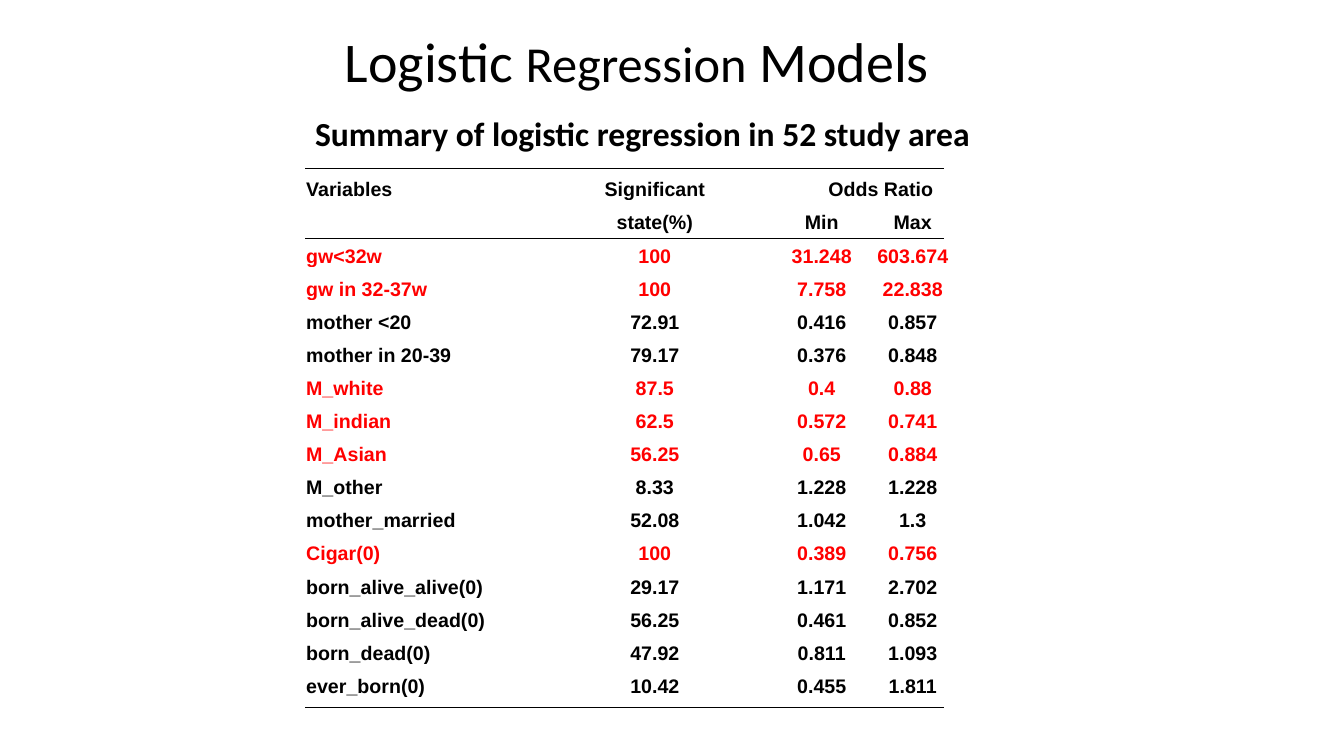
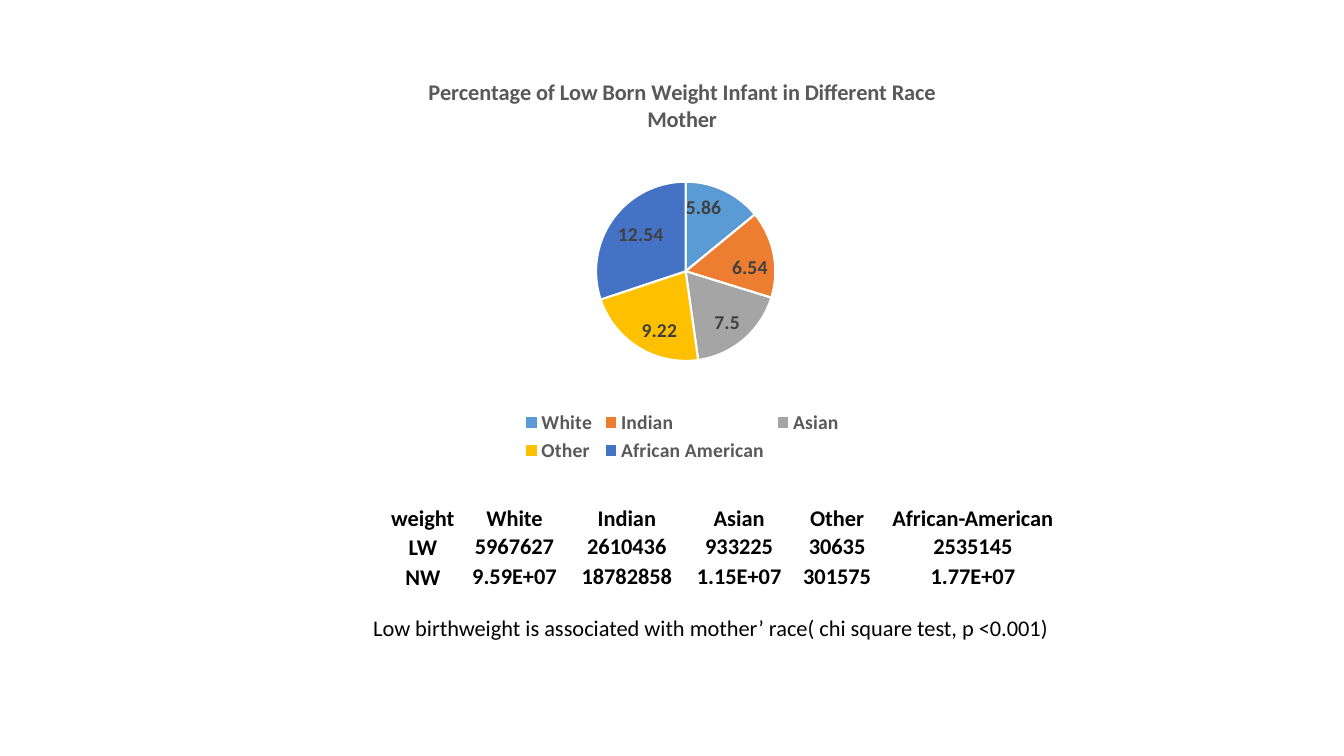
"""Build two slides on logistic regression and birth weight by race."""
from collections import namedtuple
from dataclasses import dataclass

from lxml import etree
from pptx import Presentation
from pptx import util as u
from pptx.chart import data
from pptx.dml import color
from pptx.enum import chart as charts, shapes, text
from pptx.oxml import ns

Box = namedtuple("Box", "left top width height")


@dataclass(frozen=True)
class Theme:
    """Colours, fonts and type sizes of the deck."""

    ink: str = "000000"
    accent: str = "FF0000"
    muted: str = "595959"
    label: str = "404040"
    paper: str = "FFFFFF"
    slices: tuple = ("5B9BD5", "ED7D31", "A5A5A5", "FFC000", "4472C4")
    face: str = "Calibri"
    table_face: str = "Arial"
    title: int = 40
    title_small: int = 36
    heading: int = 24
    body: int = 16
    small: int = 14
    rule: float = 0.5
    slice_gap: float = 1.5


THEME = Theme()
MODEL_HEADER = [
    ("Variables", "Significant", "Odds Ratio", ""),
    ("", "state(%)", "Min", "Max"),
]
MODEL_ROWS = [
    ("gw<32w", "100", "31.248", "603.674"),
    ("gw in 32-37w", "100", "7.758", "22.838"),
    ("mother <20", "72.91", "0.416", "0.857"),
    ("mother in 20-39", "79.17", "0.376", "0.848"),
    ("M_white", "87.5", "0.4", "0.88"),
    ("M_indian", "62.5", "0.572", "0.741"),
    ("M_Asian", "56.25", "0.65", "0.884"),
    ("M_other", "8.33", "1.228", "1.228"),
    ("mother_married", "52.08", "1.042", "1.3"),
    ("Cigar(0)", "100", "0.389", "0.756"),
    ("born_alive_alive(0)", "29.17", "1.171", "2.702"),
    ("born_alive_dead(0)", "56.25", "0.461", "0.852"),
    ("born_dead(0)", "47.92", "0.811", "1.093"),
    ("ever_born(0)", "10.42", "0.455", "1.811"),
]
HIGHLIGHTED = {"gw<32w", "gw in 32-37w", "M_white", "M_indian", "M_Asian", "Cigar(0)"}
RACE_SHARES = {
    "White": 5.86, "Indian": 6.54, "Asian": 7.5, "Other": 9.22, "African American": 12.54,
}
WEIGHT_ROWS = [
    ("weight", "White", "Indian", "Asian", "Other", "African-American"),
    ("LW", "5967627", "2610436", "933225", "30635", "2535145"),
    ("NW", "9.59E+07", "18782858", "1.15E+07", "301575", "1.77E+07"),
]


def points(values):
    """Turn numbers into lengths in points."""
    return [u.Pt(value) for value in values]


def set_font(font, size, shade=THEME.ink, bold=False, face=THEME.face):
    """Format one font."""
    font.name, font.size, font.bold = face, u.Pt(size), bold
    font.color.rgb = color.RGBColor.from_string(shade)


def add_span(para, words, size, **style):
    """Append one formatted run."""
    span = para.add_run()
    span.text = words
    set_font(span.font, size, **style)


def add_text(page, box, words, size, bold=False):
    """Place one line of text in a box."""
    frame = page.shapes.add_textbox(*points(box)).text_frame
    frame.word_wrap = True
    add_span(frame.paragraphs[0], words, size, bold=bold)


def add_title(page, box, spans):
    """Move the title placeholder and fill it run by run."""
    title = page.shapes.title
    title.left, title.top, title.width, title.height = points(box)
    frame = title.text_frame
    frame.word_wrap = False
    frame.auto_size = text.MSO_AUTO_SIZE.NONE
    frame.vertical_anchor = text.MSO_ANCHOR.TOP
    para = frame.paragraphs[0]
    para.alignment = text.PP_ALIGN.LEFT
    for words, size in spans:
        add_span(para, words, size)


def add_rule(page, left, top, width):
    """Draw a thin horizontal rule."""
    rule = page.shapes.add_connector(
        shapes.MSO_CONNECTOR.STRAIGHT, *points((left, top, left + width, top)))
    rule.line.color.rgb = color.RGBColor.from_string(THEME.ink)
    rule.line.width = u.Pt(THEME.rule)
    etree.SubElement(rule._element.spPr, ns.qn("a:effectLst"))


def fill_cell(cell, words, size, align, **style):
    """Write one plain cell, anchored at its bottom."""
    cell.fill.background()
    cell.margin_left, cell.margin_top, cell.margin_right, cell.margin_bottom = points(
        (0.7, 0.7, 0.7, 0))
    cell.vertical_anchor = text.MSO_ANCHOR.BOTTOM
    para = cell.text_frame.paragraphs[0]
    para.alignment = align
    if words:
        add_span(para, words, size, bold=True, **style)
    else:
        etree.SubElement(para._p, ns.qn("a:endParaRPr"), sz=str(size * 100))


def add_grid(page, box, rows, widths, heights, size, first_align, face, highlighted=()):
    """Place an unbanded table and return it."""
    grid = page.shapes.add_table(len(rows), len(widths), *points(box)).table
    grid.first_row = grid.horz_banding = False
    for column, width in zip(grid.columns, widths):
        column.width = u.Pt(width)
    for index, (row, height) in enumerate(zip(rows, heights)):
        grid.rows[index].height = u.Pt(height)
        shade = THEME.accent if row[0] in highlighted else THEME.ink
        for place, words in enumerate(row):
            align = text.PP_ALIGN.CENTER if place else first_align
            fill_cell(grid.cell(index, place), words, size, align, shade=shade, face=face)
    return grid


def add_model_table(page, box):
    """Place the regression summary with its three rules."""
    rows = MODEL_HEADER + MODEL_ROWS
    pitch = box.height / len(rows)
    grid = add_grid(page, box, rows, (163, 173.5, 65, 65), [pitch] * len(rows),
                    THEME.small, text.PP_ALIGN.LEFT, THEME.table_face, HIGHLIGHTED)
    odds = grid.cell(0, 2)
    odds.merge(grid.cell(0, 3))
    odds.margin_left = u.Pt(20)
    for offset in (0, 50, 385):
        add_rule(page, box.left, box.top + offset, box.width - 10)


def add_weight_table(page, box):
    """Place the counts of low and normal weight by race."""
    grid = add_grid(page, box, WEIGHT_ROWS, (55, 76, 84.5, 76, 64, 130), (20, 21, 21),
                    THEME.body, text.PP_ALIGN.CENTER, THEME.face)
    for index in range(1, len(WEIGHT_ROWS)):
        for place in range(1, len(WEIGHT_ROWS[0])):
            grid.cell(index, place).vertical_anchor = text.MSO_ANCHOR.TOP


def set_plot_layout(chart, **fractions):
    """Fix the inner plot area as fractions of the chart."""
    area = chart._chartSpace.chart.plotArea
    for old in area.findall(ns.qn("c:layout")):
        area.remove(old)
    layout = etree.Element(ns.qn("c:layout"))
    area.insert(0, layout)
    manual = etree.SubElement(layout, ns.qn("c:manualLayout"))
    settings = {"layoutTarget": "inner", "xMode": "edge", "yMode": "edge", **fractions}
    for name, value in settings.items():
        etree.SubElement(manual, ns.qn("c:" + name), val=str(value))


def add_race_chart(page, box):
    """Place the pie of low birth weight by race."""
    source = data.CategoryChartData()
    source.categories = list(RACE_SHARES)
    source.add_series("Series 1", list(RACE_SHARES.values()))
    chart = page.shapes.add_chart(charts.XL_CHART_TYPE.PIE, *points(box), source).chart
    set_font(chart.font, THEME.small, bold=True)
    chart.has_title = True
    add_span(chart.chart_title.text_frame.paragraphs[0],
             "Percentage of Low Born Weight Infant in Different Race Mother",
             THEME.body, shade=THEME.muted, bold=True)
    chart.has_legend = True
    chart.legend.position = charts.XL_LEGEND_POSITION.BOTTOM
    chart.legend.include_in_layout = False
    set_font(chart.legend.font, THEME.small, THEME.muted, bold=True)
    plot = chart.plots[0]
    plot.vary_by_categories = True
    plot.has_data_labels = True
    labels = plot.data_labels
    labels.show_value, labels.show_percentage = True, False
    labels.position = charts.XL_LABEL_POSITION.INSIDE_END
    set_font(labels.font, THEME.small, THEME.label, bold=True)
    for index, shade in enumerate(THEME.slices):
        piece = plot.series[0].points[index].format
        piece.fill.solid()
        piece.fill.fore_color.rgb = color.RGBColor.from_string(shade)
        piece.line.color.rgb = color.RGBColor.from_string(THEME.paper)
        piece.line.width = u.Pt(THEME.slice_gap)
    set_plot_layout(chart, x=0.38, y=0.3, w=0.25, h=0.44)


def build_model_slide(deck):
    """Add the slide with the regression summary."""
    page = deck.slides.add_slide(deck.slide_layouts.get_by_name("Title Only"))
    add_title(page, Box(239, 15, 445, 56), [
        ("Logistic ", THEME.title), ("Regression", THEME.title_small),
        (" Models", THEME.title)])
    add_text(page, Box(218, 77, 524, 36), "Summary of logistic regression in 52 study area",
             THEME.heading, bold=True)
    add_model_table(page, Box(218, 120, 466.5, 378.4))


def build_race_slide(deck):
    """Add the slide with the pie, the counts and the finding."""
    page = deck.slides.add_slide(deck.slide_layouts.get_by_name("Blank"))
    add_race_chart(page, Box(230.5, 42.5, 513.5, 291))
    add_weight_table(page, Box(274.5, 360, 485.5, 62))
    add_text(page, Box(259.5, 435, 507, 27),
             "Low birthweight is associated with mother’ race( chi square test, p <0.001)",
             THEME.body)


def main():
    """Build and save the deck."""
    deck = Presentation()
    deck.slide_width, deck.slide_height = points((960, 540))
    build_model_slide(deck)
    build_race_slide(deck)
    deck.save("out.pptx")


if __name__ == "__main__":
    main()
